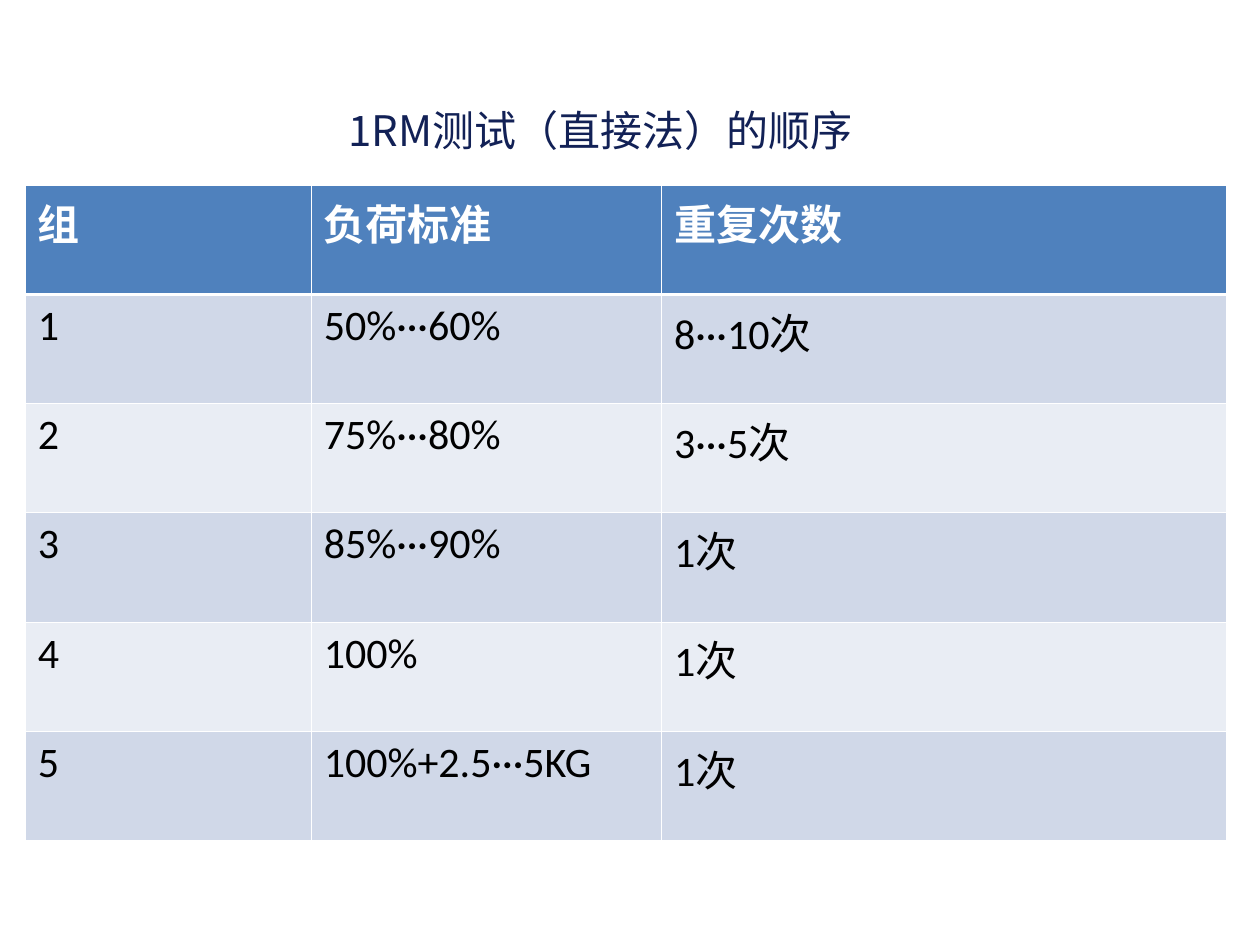
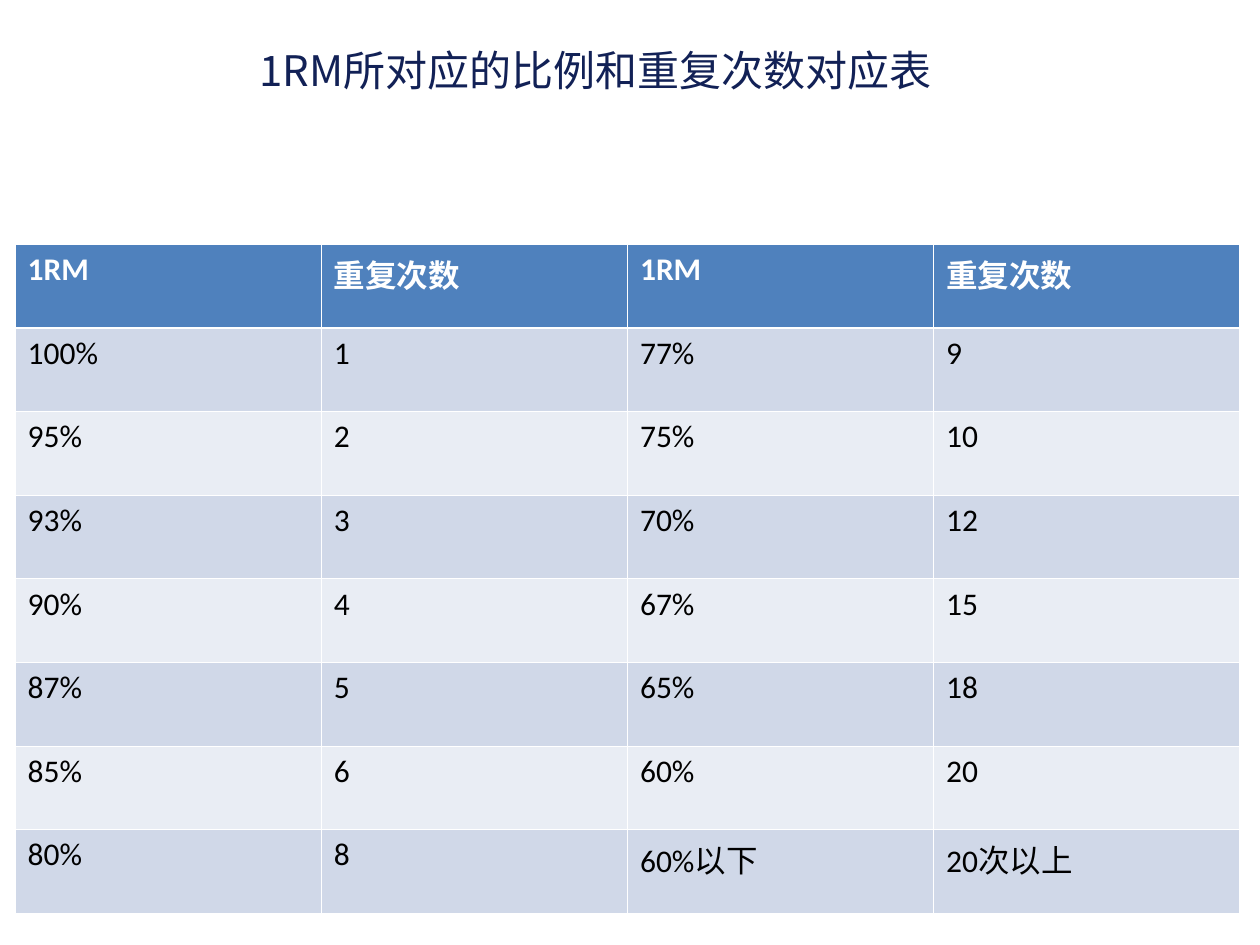
from dataclasses import dataclass

from lxml.etree import SubElement
from pptx import Presentation
from pptx.dml.color import RGBColor
from pptx.enum.text import MSO_ANCHOR, PP_ALIGN
from pptx.oxml.ns import qn
from pptx.slide import Slide
from pptx.table import _Cell
from pptx.text.text import _Paragraph, _Run
from pptx.util import Inches, Pt

WHITE = RGBColor(0xFF, 0xFF, 0xFF)
BLACK = RGBColor(0x00, 0x00, 0x00)
NAVY = RGBColor(0x12, 0x21, 0x56)
HEADER_BLUE = RGBColor(0x4F, 0x81, 0xBD)
BANDS = (RGBColor(0xE9, 0xED, 0xF4), RGBColor(0xD0, 0xD8, 0xE8))
LATIN_FONT = "Calibri"
CHINESE_FONT = "Noto Sans CJK SC"
TITLE_SIZE = 24
THIN, THICK = 0.45, 1.47


@dataclass(frozen=True)
class TableSlide:
    """A titled slide that holds one banded table."""

    title: str
    title_top: float
    left: float
    top: float
    height: float
    column_widths: tuple[float, ...]
    text_size: int
    rows: tuple[tuple[str, ...], ...]


TABLE_SLIDES = (
    TableSlide(
        "1RM测试（直接法）的顺序", 0.76, 0.2, 1.47, 5.2, (2.27, 2.78, 4.48), 24,
        (
            ("组", "负荷标准", "重复次数"),
            ("1", "50%···60%", "8···10次"),
            ("2", "75%···80%", "3···5次"),
            ("3", "85%···90%", "1次"),
            ("4", "100%", "1次"),
            ("5", "100%+2.5···5KG", "1次"),
        ),
    ),
    TableSlide(
        "1RM所对应的比例和重复次数对应表 ", 0.28, 0.12, 1.94, 5.31, (2.43,) * 4, 18,
        (
            ("1RM", "重复次数") * 2,
            ("100%", "1", "77%", "9"),
            ("95%", "2", "75%", "10"),
            ("93%", "3", "70%", "12"),
            ("90%", "4", "67%", "15"),
            ("87%", "5", "65%", "18"),
            ("85%", "6", "60%", "20"),
            ("80%", "8", "60%以下", "20次以上"),
        ),
    ),
)


def add_span(para: _Paragraph, text: str, size: int, color: RGBColor,
             font: str, bold: bool = False) -> _Run:
    """Add a run with Latin and Chinese fonts."""
    span = para.add_run()
    span.text = text
    span.font.size = Pt(size)
    span.font.bold = bold
    span.font.color.rgb = color
    span.font.name = font
    SubElement(span.font._element, qn("a:ea"), typeface=CHINESE_FONT)
    return span


def add_text_shadow(span: _Run) -> None:
    """Cast a small shadow behind the letters."""
    effects = SubElement(span.font._element, qn("a:effectLst"))
    span.font._element.find(qn("a:latin")).addprevious(effects)
    shadow = SubElement(effects, qn("a:outerShdw"), dist="38100", dir="2700000")
    SubElement(shadow, qn("a:srgbClr"), val=str(BLACK))


def add_title(page: Slide, text: str, top: float) -> None:
    """Add the centred slide title."""
    box = page.shapes.add_textbox(Inches(0.12), Inches(top), Inches(9.29), Inches(0.54))
    frame = box.text_frame
    frame.word_wrap = True
    frame.vertical_anchor = MSO_ANCHOR.MIDDLE
    para = frame.paragraphs[0]
    para.alignment = PP_ALIGN.CENTER
    add_text_shadow(add_span(para, text, TITLE_SIZE, NAVY, CHINESE_FONT))


def set_borders(cell: _Cell, row_index: int) -> None:
    """Draw white cell borders, thicker between header and body."""
    widths = {
        "L": THIN,
        "R": THIN,
        "T": THICK if row_index == 1 else THIN,
        "B": THICK if row_index == 0 else THIN,
    }
    properties = cell._tc.get_or_add_tcPr()
    for side, width in widths.items():
        line = SubElement(properties, qn(f"a:ln{side}"), w=str(Pt(width)))
        fill = SubElement(line, qn("a:solidFill"))
        SubElement(fill, qn("a:srgbClr"), val=str(WHITE))


def add_banded_table(page: Slide, content: TableSlide) -> None:
    """Add the table with a blue header and alternating rows."""
    row_count = len(content.rows)
    table = page.shapes.add_table(
        row_count, len(content.column_widths), Inches(content.left), Inches(content.top),
        Inches(sum(content.column_widths)), Inches(content.height),
    ).table
    for column, width in zip(table.columns, content.column_widths):
        column.width = Inches(width)
    for row_index, texts in enumerate(content.rows):
        table.rows[row_index].height = Inches(content.height / row_count)
        header = row_index == 0
        for column_index, text in enumerate(texts):
            cell = table.cell(row_index, column_index)
            set_borders(cell, row_index)
            cell.fill.solid()
            cell.fill.fore_color.rgb = HEADER_BLUE if header else BANDS[row_index % 2]
            add_span(cell.text_frame.paragraphs[0], text, content.text_size,
                     WHITE if header else BLACK, LATIN_FONT, header)


def main() -> None:
    """Build and save the deck."""
    deck = Presentation()
    deck.slide_width, deck.slide_height = Inches(10), Inches(7.5)
    for content in TABLE_SLIDES:
        page = deck.slides.add_slide(deck.slide_layouts[6])
        page.background.fill.solid()
        page.background.fill.fore_color.rgb = WHITE
        add_title(page, content.title, content.title_top)
        add_banded_table(page, content)
    deck.save("out.pptx")


if __name__ == "__main__":
    main()
